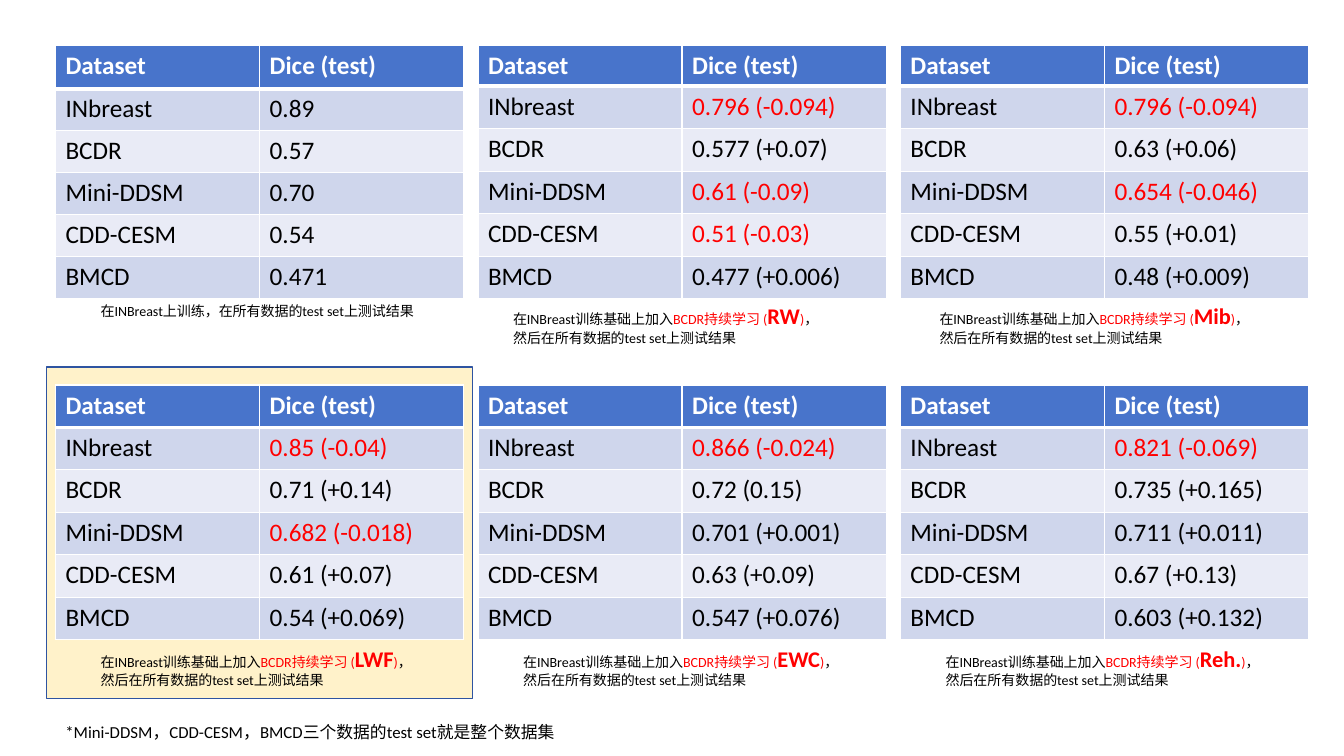
"""Build a slide comparing Dice scores of continual learning methods on five datasets."""
from lxml.etree import SubElement
from pptx import Presentation
from pptx.dml.color import RGBColor
from pptx.enum.shapes import MSO_SHAPE
from pptx.enum.text import MSO_AUTO_SIZE
from pptx.oxml.ns import qn
from pptx.util import Inches, Pt

WHITE, BLACK, RED = "FFFFFF", "000000", "FF0000"
HEADER, DARK_BAND, LIGHT_BAND = "4874CB", "CFD6EC", "E9EBF6"


def color(value):
    return RGBColor.from_string(value)


def write(frame, runs):
    for text, size, ink, bold in runs:
        run = frame.paragraphs[0].add_run()
        run.text = text
        for name, value in {"name": "Calibri", "size": Pt(size), "bold": bold}.items():
            setattr(run.font, name, value)
        run.font.color.rgb = color(ink)


prs = Presentation()
prs.slide_width, prs.slide_height = Inches(13.33), Inches(7.5)
slide = prs.slides.add_slide(prs.slide_layouts[6])

highlight = slide.shapes.add_shape(
    MSO_SHAPE.RECTANGLE, Inches(0.46), Inches(3.64), Inches(4.23), Inches(3.29))
highlight.shadow.inherit = False
highlight.fill.solid()
highlight.fill.fore_color.rgb = color("FFF2CA")
highlight.line.color.rgb = color("2E54A1")
highlight.line.width = Pt(1)

datasets = ["INbreast", "BCDR", "Mini-DDSM", "CDD-CESM", "BMCD"]
experiments = [
    (None, 0.9, 0.43, ["0.89", "0.57", "0.70", "0.54", "0.471"]),
    ("RW", 4.99, 0.4, ["0.796 (-0.094)", "0.577 (+0.07)", "0.61 (-0.09)",
                       "0.51 (-0.03)", "0.477 (+0.006)"]),
    ("Mib", 9.22, 0.4, ["0.796 (-0.094)", "0.63 (+0.06)", "0.654 (-0.046)",
                        "0.55 (+0.01)", "0.48 (+0.009)"]),
    ("LWF", 0.9, 0.42, ["0.85 (-0.04)", "0.71 (+0.14)", "0.682 (-0.018)",
                        "0.61 (+0.07)", "0.54 (+0.069)"]),
    ("EWC", 5.09, 0.42, ["0.866 (-0.024)", "0.72 (0.15)", "0.701 (+0.001)",
                         "0.63 (+0.09)", "0.547 (+0.076)"]),
    ("Reh.", 9.28, 0.42, ["0.821 (-0.069)", "0.735 (+0.165)", "0.711 (+0.011)",
                          "0.67 (+0.13)", "0.603 (+0.132)"]),
]
captions = []

for index, (method, caption_left, header_height, scores) in enumerate(experiments):
    band, column = divmod(index, 3)
    top, height = [(0.45, 2.51), (3.82, 2.53)][band]
    results = slide.shapes.add_table(
        6, 2, Inches(0.55 + 4.19 * column), Inches(top), Inches(4.05), Inches(height)).table
    for results_column in results.columns:
        results_column.width = Inches(4.05 / 2)
    for r, row in enumerate([("Dataset", "Dice (test)"), *zip(datasets, scores)]):
        is_header = r == 0
        results.rows[r].height = Inches(
            header_height if is_header else (height - header_height) / 5)
        for c, text in enumerate(row):
            cell = results.cell(r, c)
            properties = cell._tc.get_or_add_tcPr()
            for side in ("lnL", "lnR", "lnT", "lnB"):
                thick = (is_header and side == "lnB") or (r == 1 and side == "lnT")
                border = SubElement(properties, qn(f"a:{side}"), w=str(Pt(3 if thick else 1)))
                SubElement(SubElement(border, qn("a:solidFill")), qn("a:srgbClr"), val=WHITE)
            cell.fill.solid()
            cell.fill.fore_color.rgb = color(
                HEADER if is_header else DARK_BAND if r % 2 else LIGHT_BAND)
            ink = WHITE if is_header else RED if "(-" in text else BLACK
            write(cell.text_frame, [(text, 18, ink, is_header)])

    if method:
        runs = [("在INBreast训练基础上加入", 10, BLACK, False),
                ("BCDR持续学习 (", 10, RED, False),
                (method, 16, RED, True),
                (")", 10, RED, False),
                ("，然后在所有数据的test set上测试结果", 10, BLACK, False)]
    else:
        runs = [("在INBreast上训练，在所有数据的test set上测试结果", 10, BLACK, False)]
    captions.append((caption_left, [2.95, 6.35][band], 3.35, 0.54 if method else 0.27, runs))

footnote = "*Mini-DDSM，CDD-CESM，BMCD三个数据的test set就是整个数据集"
captions.append((0.55, 7.11, 7.59, 0.3, [(footnote, 12, BLACK, False)]))

for left, top, width, height, runs in captions:
    caption = slide.shapes.add_textbox(
        Inches(left), Inches(top), Inches(width), Inches(height)).text_frame
    caption.word_wrap = True
    caption.auto_size = MSO_AUTO_SIZE.SHAPE_TO_FIT_TEXT
    write(caption, runs)

prs.save("out.pptx")
